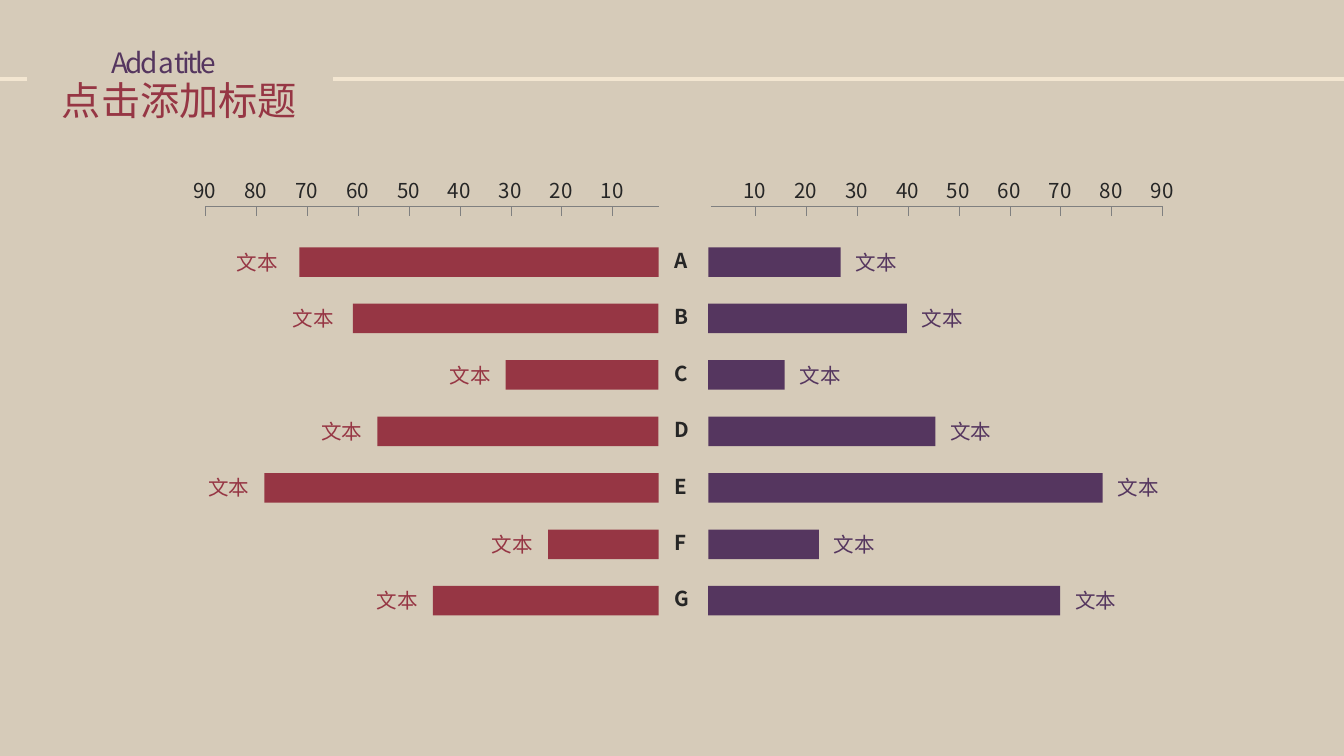
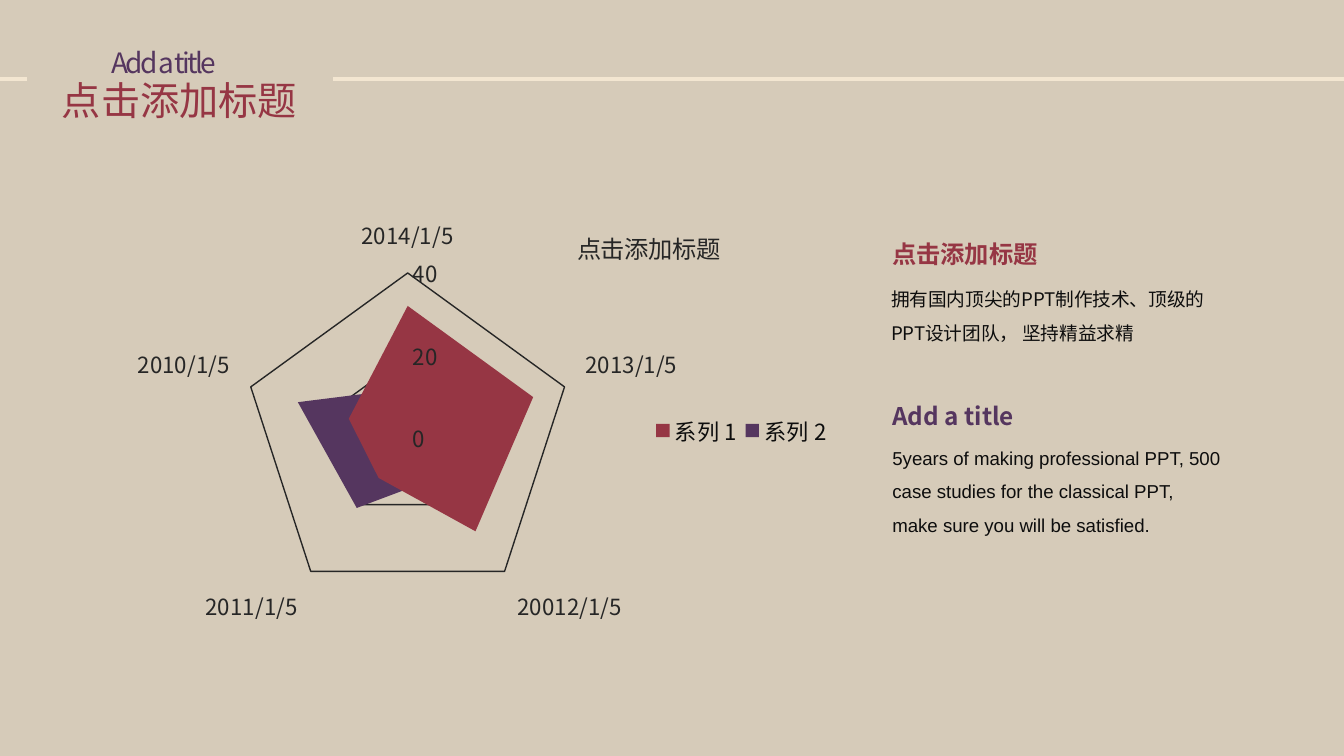
"""Build two slides: a butterfly bar diagram and a filled radar chart."""
from lxml import etree
from pptx import Presentation
from pptx.chart.data import CategoryChartData
from pptx.dml.color import RGBColor
from pptx.enum.chart import XL_CHART_TYPE, XL_LEGEND_POSITION, XL_TICK_MARK
from pptx.enum.shapes import MSO_CONNECTOR, MSO_SHAPE
from pptx.enum.text import MSO_ANCHOR, MSO_AUTO_SIZE, PP_ALIGN
from pptx.oxml.ns import qn
from pptx.util import Inches, Pt

LEFT, MID, JUST = PP_ALIGN.LEFT, PP_ALIGN.CENTER, PP_ALIGN.JUSTIFY
TOP, CENTRE = MSO_ANCHOR.TOP, MSO_ANCHOR.MIDDLE
FIXED = MSO_AUTO_SIZE.NONE
RECT, LINE = MSO_SHAPE.RECTANGLE, MSO_CONNECTOR.STRAIGHT
RADAR = XL_CHART_TYPE.RADAR_FILLED
RIGHT, BARE = XL_LEGEND_POSITION.RIGHT, XL_TICK_MARK.NONE

HEX = {
    "back": "D6CBB9", "band": "F3E6D1", "red": "963644", "plum": "55365F",
    "dark": "262626", "ink": "0D0D0D", "axis": "808080", "pale": "D9D9D9",
}
SANS = "Noto Sans CJK SC"
WIDE, HIGH = Inches(10), Inches(10) * 9 // 16

TITLE, SUB, TAG = "点击添加标题", "Add a title", "文本"
BANDS = [(0, 0.2), (2.48, 10)]

ROWS = [
    ("A", 70.5, 26, 0.05), ("B", 60, 39, 0.03), ("C", 30, 15, 0),
    ("D", 55.2, 44.6, 0), ("E", 77.4, 77.4, 0), ("F", 21.7, 21.7, 0),
    ("G", 44.3, 69.1, 0),
]
UNIT = 0.0379 * 10
FIRST, STEP, THICK = 1.84, 0.42, 0.22
RULE, TICK = 1.54, 0.07
SIDES = [
    {"hue": "red", "sign": -1, "base": 4.9, "rule": 4.9, "ten": 4.56},
    {"hue": "plum", "sign": 1, "base": 5.27, "rule": 5.29, "ten": 5.62},
]

CATS = ["2014/1/5", "2013/1/5", "20012/1/5", "2011/1/5", "2010/1/5"]
SERIES = [
    ("系列 1", "red", (32, 32, 28, 12, 15)),
    ("系列 2", "plum", (12, 12, 12, 21, 28)),
]
NOTES = [
    (TITLE, (6.55, 1.64, 1.36, 0.43), 13, "red", SANS, True, JUST),
    ("拥有国内顶尖的PPT制作技术、顶级的PPT设计团队， 坚持精益求精",
     (6.54, 2.03, 2.47, 0.58), 10, "ink", SANS, False, JUST),
    (SUB, (6.55, 2.85, 1.18, 0.39), 13, "plum", SANS, True, JUST),
    ("5years of making professional PPT, 500 case studies for the "
     "classical PPT, make sure you will be satisfied.",
     (6.55, 3.21, 2.6, 0.86), 10, "ink", "Arial", False, LEFT),
]


def rgb(hue):
    return RGBColor.from_string(HEX[hue])


def style(font, size, hue, face=SANS, bold=False):
    font.size, font.name, font.bold = Pt(size), face, bold
    font.color.rgb = rgb(hue)


def fill(box, text, size, hue, face=SANS, bold=False, align=LEFT,
         anchor=CENTRE, lead=1.0, track=0):
    frame = box.text_frame
    frame.text = text
    frame.word_wrap, frame.auto_size = True, FIXED
    frame.vertical_anchor = anchor
    frame.margin_left, frame.margin_right = Inches(0.09), Inches(0.05)
    frame.margin_top = frame.margin_bottom = Inches(0.03)
    if align == MID:
        frame.margin_right = frame.margin_left
    para = frame.paragraphs[0]
    para.alignment, para.line_spacing = align, lead
    run = para.runs[0]
    style(run.font, size, hue, face, bold)
    props = run._r.get_or_add_rPr()
    if track:
        props.set("spc", str(track))
    etree.SubElement(props, qn("a:ea")).set("typeface", face)


def write(slide, at, text, size, hue, **more):
    box = slide.shapes.add_textbox(*map(Inches, at))
    fill(box, text, size, hue, **more)


def draw(slide, x1, y1, x2, y2, hue, width):
    line = slide.shapes.add_connector(LINE, *map(Inches, (x1, y1, x2, y2)))
    line.line.color.rgb, line.line.width = rgb(hue), Pt(width)
    etree.SubElement(line._element.spPr, qn("a:effectLst"))


def start(deck):
    slide = deck.slides.add_slide(deck.slide_layouts[5])
    head = slide.shapes.title
    head.left, head.top, head.width, head.height = map(
        Inches, (0.37, 0.52, 2.07, 0.45))
    fill(head, TITLE, 21, "red", align=JUST)
    write(slide, (0.74, 0.29, 1.67, 0.35), SUB, 15, "plum",
          align=JUST, track=-150)
    for x1, x2 in BANDS:
        draw(slide, x1, 0.59, x2, 0.59, "band", 2.25)
    return slide


def scale(slide, side):
    ticks = [side["ten"] + side["sign"] * UNIT * n for n in range(9)]
    draw(slide, side["rule"], RULE, ticks[-1], RULE, "axis", 0.5)
    for n, x in enumerate(ticks, 1):
        draw(slide, x, RULE, x, RULE + TICK, "axis", 0.5)
        write(slide, (x - 0.18, 1.27, 0.38, 0.29), str(n * 10), 11, "dark")


def bar(slide, side, value, top, nudge):
    span = value / 10 * UNIT
    left = side["base"] - span if side["sign"] < 0 else side["base"]
    shape = slide.shapes.add_shape(
        RECT, *map(Inches, (left, top, span, THICK)))
    shape.shadow.inherit = False
    shape.fill.solid()
    shape.fill.fore_color.rgb = rgb(side["hue"])
    shape.line.fill.background()
    x = left - 0.53 - nudge if side["sign"] < 0 else left + span
    write(slide, (x, top - 0.04, 0.53, 0.3), TAG, 11, side["hue"], align=MID)


def wings(deck):
    slide = start(deck)
    for side in SIDES:
        scale(slide, side)
    for i, (name, west, east, nudge) in enumerate(ROWS):
        top = FIRST + STEP * i
        write(slide, (4.93, top - 0.05, 0.32, 0.29), name, 11, "dark",
              bold=True)
        for side, value in zip(SIDES, (west, east)):
            bar(slide, side, value, top, nudge)


def pin(part, slot, inner=False, **place):
    old = part.find(qn("c:layout"))
    if old is not None:
        part.remove(old)
    layout = etree.Element(qn("c:layout"))
    part.insert(slot, layout)
    manual = etree.SubElement(layout, qn("c:manualLayout"))
    marks = [("layoutTarget", "inner")] if inner else []
    marks += [("xMode", "edge"), ("yMode", "edge"), *place.items()]
    for tag, value in marks:
        etree.SubElement(manual, qn("c:" + tag)).set("val", str(value))


def radar(slide):
    data = CategoryChartData()
    data.categories = CATS
    for name, _, values in SERIES:
        data.add_series(name, values)
    chart = slide.shapes.add_chart(
        RADAR, *map(Inches, (0.69, 0.99, 5.58, 3.72)), data).chart
    style(chart.font, 10, "ink")

    chart.has_title = True
    frame = chart.chart_title.text_frame
    frame.text = TITLE
    style(frame.paragraphs[0].runs[0].font, 13, "dark")
    pin(chart.chart_title._element, 1, x=0.64, y=0.18)

    chart.has_legend = True
    legend = chart.legend
    legend.position, legend.include_in_layout = RIGHT, False
    style(legend.font, 11.9, "ink")
    pin(legend._element, 1, x=0.74, y=0.56, w=0.25, h=0.07)

    plot = chart.plots[0]
    plot.vary_by_categories = False
    for series, (_, hue, _) in zip(plot.series, SERIES):
        series.smooth = False
        series.format.fill.solid()
        series.format.fill.fore_color.rgb = rgb(hue)
        series.format.line.fill.background()
    pin(chart._chartSpace.chart.plotArea, 0, inner=True,
        x=0.2, y=0.28, w=0.44, h=0.66)

    cat, val = chart.category_axis, chart.value_axis
    for axis in (cat, val):
        axis.major_tick_mark = axis.minor_tick_mark = BARE
        style(axis.tick_labels.font, 11.9, "dark")
    cat.has_major_gridlines = False
    cat.format.line.color.rgb, cat.format.line.width = rgb("pale"), Pt(0.75)
    val.format.line.fill.background()
    val.minimum_scale, val.maximum_scale, val.major_unit = 0, 40, 20
    val.has_major_gridlines = True
    grid = val.major_gridlines.format.line
    grid.color.rgb, grid.width = rgb("dark"), Pt(0.75)


def report(deck):
    slide = start(deck)
    radar(slide)
    for text, at, size, hue, face, bold, align in NOTES:
        write(slide, at, text, size, hue, face=face, bold=bold, align=align,
              anchor=TOP, lead=1.5)


def main():
    deck = Presentation()
    deck.slide_width, deck.slide_height = WIDE, HIGH
    back = deck.slide_master.background.fill
    back.solid()
    back.fore_color.rgb = rgb("back")
    wings(deck)
    report(deck)
    deck.save("out.pptx")


if __name__ == "__main__":
    main()
